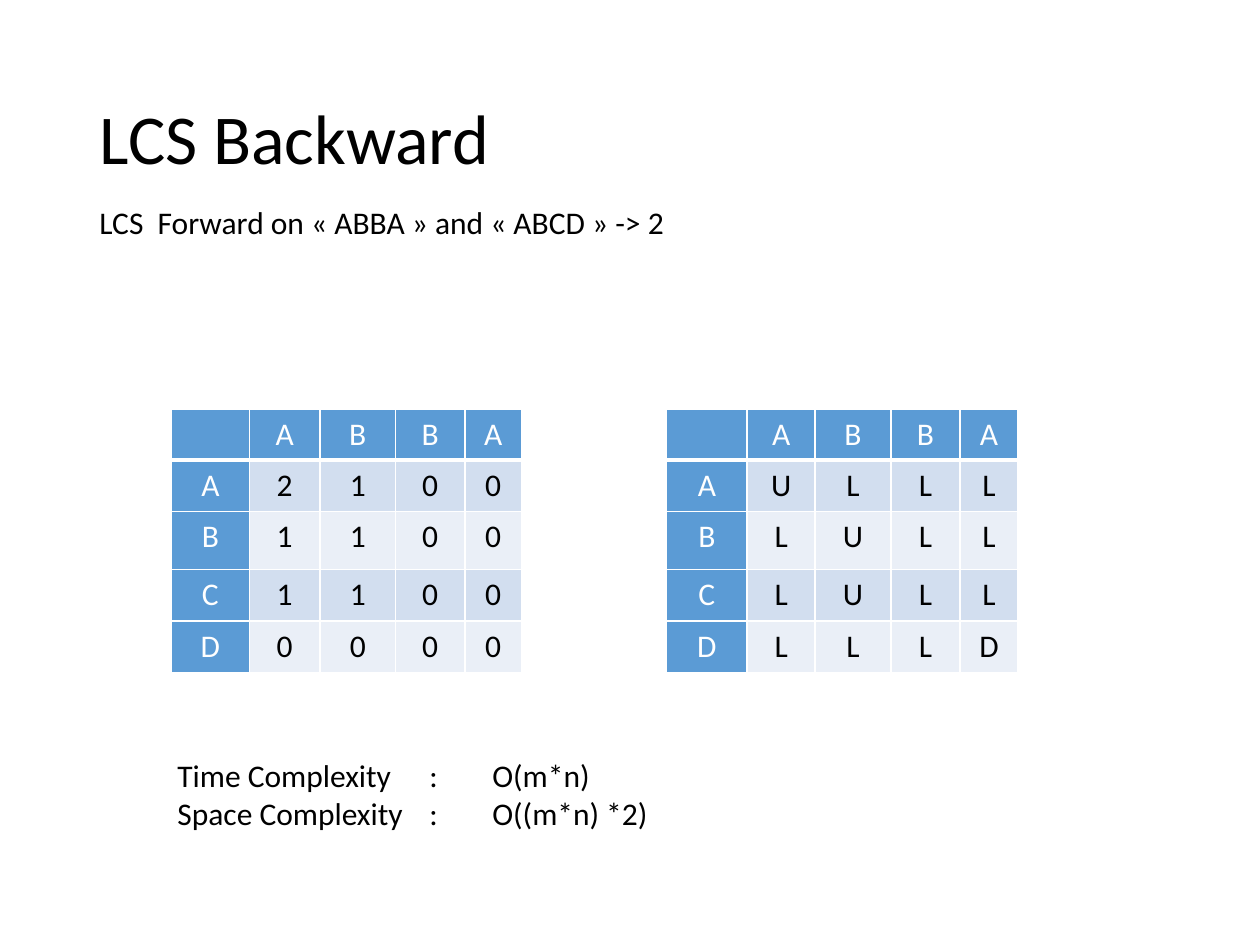
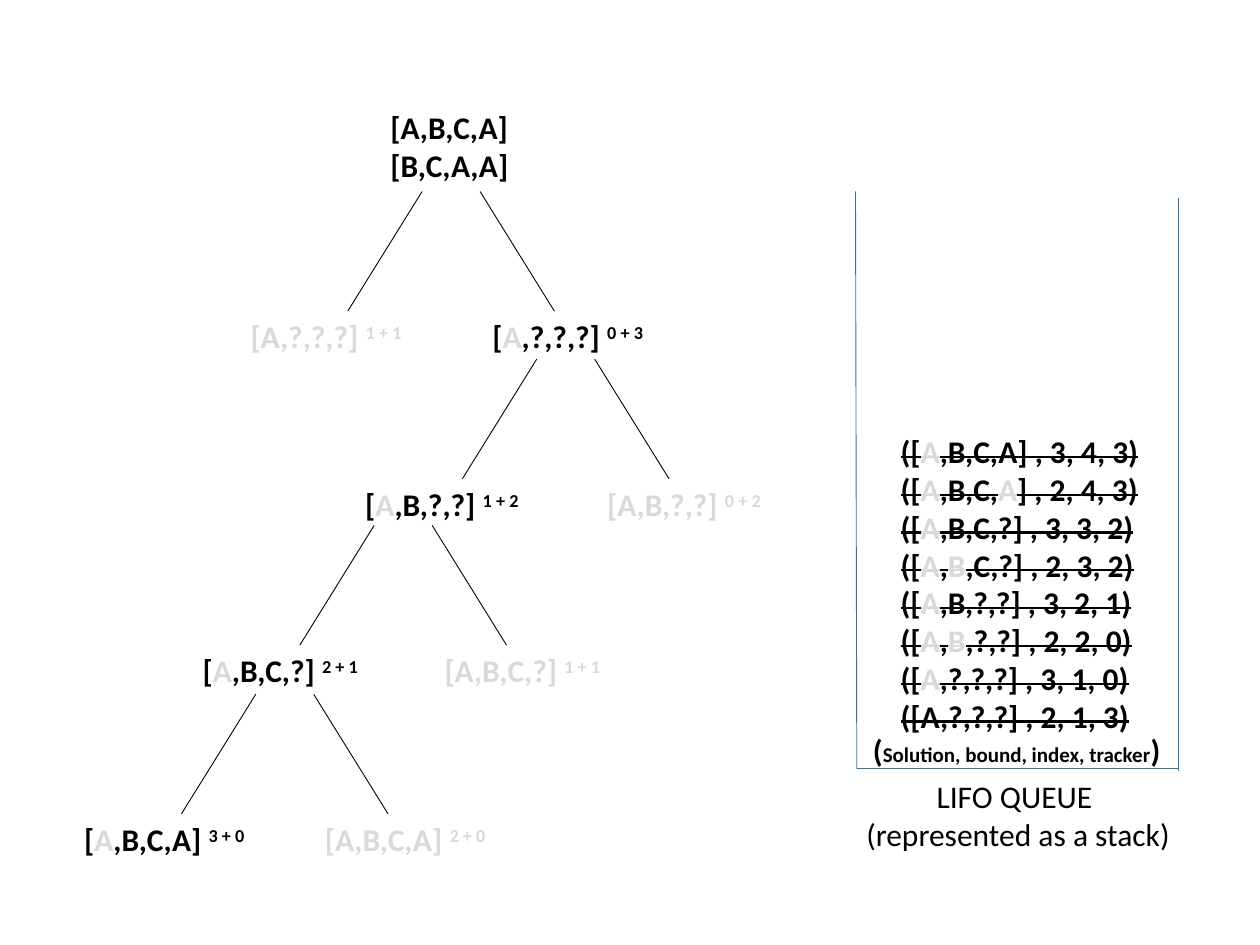
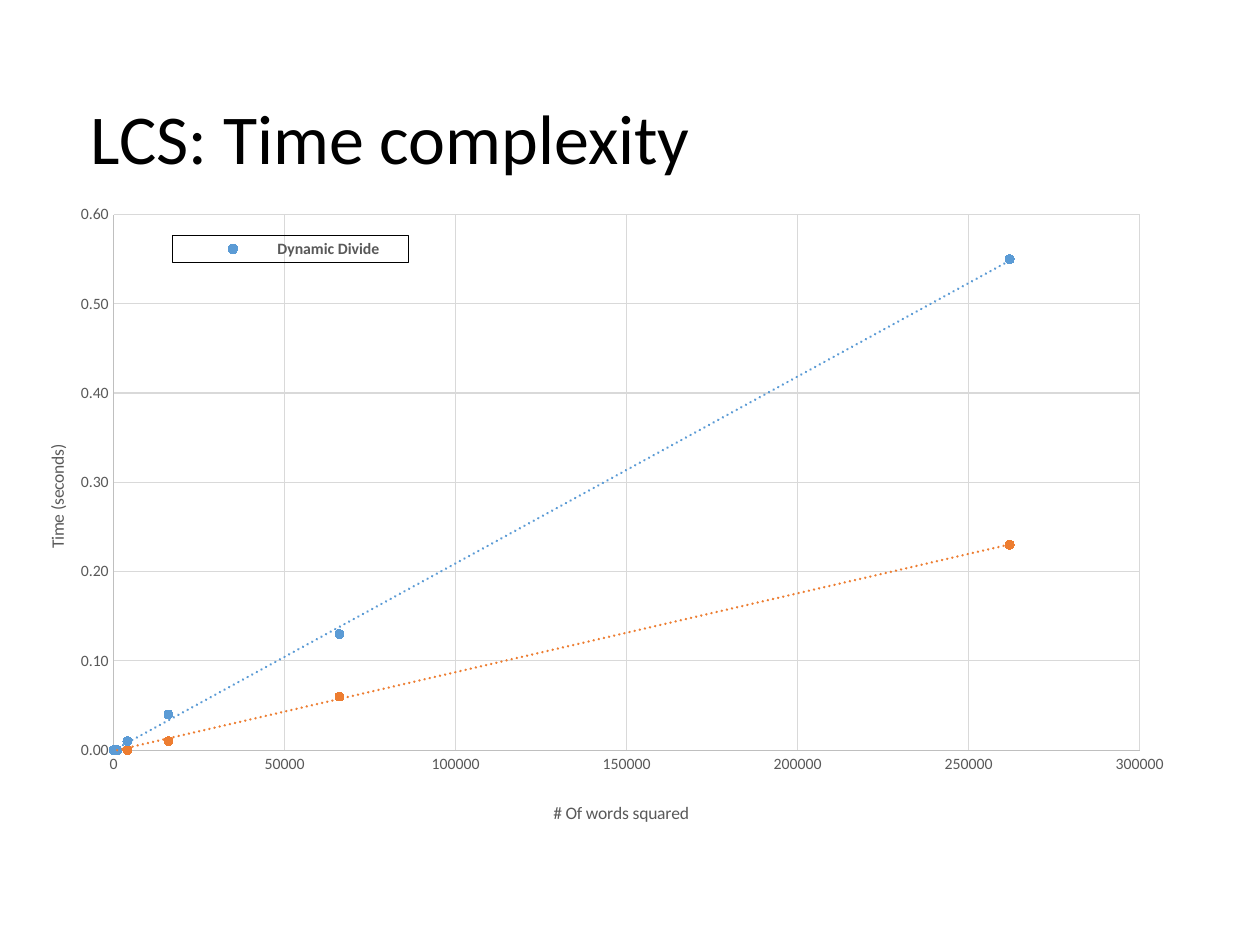
from lxml import etree
from pptx import Presentation
from pptx.chart.data import XyChartData
from pptx.dml.color import RGBColor
from pptx.enum.chart import XL_CHART_TYPE, XL_LEGEND_POSITION, XL_MARKER_STYLE, XL_TICK_MARK
from pptx.enum.shapes import MSO_CONNECTOR
from pptx.enum.text import MSO_ANCHOR, PP_ALIGN
from pptx.oxml import parse_xml
from pptx.oxml.ns import nsdecls, qn
from pptx.util import Inches, Pt

SCATTER = XL_CHART_TYPE.XY_SCATTER
LEGEND_BOTTOM = XL_LEGEND_POSITION.BOTTOM
CIRCLE = XL_MARKER_STYLE.CIRCLE
NO_TICK = XL_TICK_MARK.NONE
STRAIGHT = MSO_CONNECTOR.STRAIGHT
TOP, MIDDLE, BOTTOM = MSO_ANCHOR.TOP, MSO_ANCHOR.MIDDLE, MSO_ANCHOR.BOTTOM
LEFT, CENTER = PP_ALIGN.LEFT, PP_ALIGN.CENTER

FONT = "Calibri"
BLACK, WHITE, FADED = "000000", "FFFFFF", "D9D9D9"
BLUE, ORANGE, QUEUE_BLUE = "5B9BD5", "ED7D31", "2E75B6"
BANDS = ("D2DEEF", "EAEFF7")
AXIS_TEXT, AXIS_LINE = "595959", "BFBFBF"
TITLE_ONLY, BLANK = 5, 6


def rgb(value):
    return RGBColor.from_string(value)


def format_font(font, color=BLACK, **values):
    font.color.rgb = rgb(color)
    for name, value in {"name": FONT, "size": Pt(18), "bold": False, **values}.items():
        setattr(font, name, value)


def format_line(line, color, width):
    line.color.rgb = rgb(color)
    line.width = Pt(width)


def set_layout(element, inner=False, **fractions):
    """Place a chart part by fractions of the chart's width and height."""
    for old in element.findall(qn("c:layout")):
        element.remove(old)
    layout = parse_xml(f"<c:layout {nsdecls('c')}><c:manualLayout/></c:layout>")
    settings = {"layoutTarget": "inner"} if inner else {}
    settings.update(xMode="edge", yMode="edge", **fractions)
    for tag, value in settings.items():
        etree.SubElement(layout[0], qn(f"c:{tag}")).set("val", str(value))
    overlay = element.find(qn("c:overlay"))
    if overlay is None:
        element.insert(0, layout)
    else:
        overlay.addprevious(layout)


def add_cell_borders(cell, bottom_width):
    properties = cell._tc.get_or_add_tcPr()
    for position, side in enumerate(("lnL", "lnR", "lnT", "lnB")):
        width = Pt(bottom_width if side == "lnB" else 1)
        properties.insert(position, parse_xml(
            f'<a:{side} {nsdecls("a")} w="{width}"><a:solidFill>'
            f'<a:srgbClr val="{WHITE}"/></a:solidFill></a:{side}>'))


def add_trend_line(series, color):
    series._element.find(qn("c:xVal")).addprevious(parse_xml(
        f'<c:trendline {nsdecls("c", "a")}><c:spPr><a:ln w="{Pt(1.5)}" cap="rnd">'
        f'<a:solidFill><a:srgbClr val="{color}"/></a:solidFill>'
        '<a:prstDash val="sysDot"/></a:ln></c:spPr><c:trendlineType val="linear"/>'
        '<c:dispRSqr val="0"/><c:dispEq val="0"/></c:trendline>'))


class Deck:
    def __init__(self):
        self.presentation = Presentation()
        self.presentation.slide_width = Inches(10)
        self.presentation.slide_height = Inches(7.5)
        self.page = None

    def new_page(self, layout):
        layouts = self.presentation.slide_layouts
        self.page = self.presentation.slides.add_slide(layouts[layout])

    def title(self, text, left):
        title = self.page.shapes.title
        place = {"left": left, "top": 0.4, "width": 8.62, "height": 1.45}
        for name, value in place.items():
            setattr(title, name, Inches(value))
        title.text_frame.vertical_anchor = MIDDLE
        para = title.text_frame.paragraphs[0]
        para.alignment, para.line_spacing = LEFT, 0.9
        span = para.add_run()
        span.text = text
        format_font(span.font, size=Pt(40))

    def text(self, lines, left, top, width, height=0.71, wrap=False,
             anchor=TOP, align=LEFT, bold=False, strike=False):
        """Write the lines; pieces between bars are faded. Return the last paragraph."""
        box = self.page.shapes.add_textbox(*map(Inches, (left, top, width, height)))
        frame = box.text_frame
        frame.word_wrap, frame.vertical_anchor = wrap, anchor
        for index, line in enumerate(lines):
            para = frame.add_paragraph() if index else frame.paragraphs[0]
            para.alignment = align
            for piece, words in enumerate(line.split("|")):
                if words:
                    color = FADED if piece % 2 else BLACK
                    span = self.span(para, words, color=color, bold=bold)
                    if strike:
                        span._r.get_or_add_rPr().set("strike", "sngStrike")
        return para

    def span(self, para, text, **values):
        span = para.add_run()
        span.text = text
        format_font(span.font, **values)
        return span

    def node(self, solution, bound, left, top, width, color=BLACK):
        para = self.text([solution], left, top, width, bold=True)
        span = self.span(para, bound, color=color, bold=True)
        span._r.get_or_add_rPr().set("baseline", "30000")

    def line(self, start, end, color=BLACK):
        line = self.page.shapes.add_connector(STRAIGHT, *map(Inches, (*start, *end)))
        format_line(line.line, color, 0.5)
        etree.SubElement(line._element.spPr, qn("a:effectLst"))

    def fork(self, left, top):
        """Draw the two branches under a tree node."""
        gap, run, drop = 0.46, 0.59, 0.95
        for start, step in ((left, -run), (left + gap, run)):
            self.line((start, top), (start + step, top + drop))

    def table(self, rows, left, widths):
        heights = (0.4, 0.41, 0.46, 0.41, 0.41)
        place = (left, 3.25, sum(widths), sum(heights))
        table = self.page.shapes.add_table(
            len(rows), len(widths), *map(Inches, place)).table
        for column, width in zip(table.columns, widths):
            column.width = Inches(width)
        for row, height in zip(table.rows, heights):
            row.height = Inches(height)
        for r, row in enumerate(rows):
            for c, value in enumerate(row):
                is_header = r == 0 or c == 0
                cell = table.cell(r, c)
                cell.fill.solid()
                cell.fill.fore_color.rgb = rgb(BLUE if is_header else BANDS[(r - 1) % 2])
                add_cell_borders(cell, 1 if r else 3)
                para = cell.text_frame.paragraphs[0]
                para.alignment = CENTER
                if value:
                    self.span(para, value, color=WHITE if is_header else BLACK)

    def scatter(self, x_values, series_values, place):
        data = XyChartData()
        for name, (_, values) in series_values.items():
            series = data.add_series(name)
            for x, y in zip(x_values, values):
                series.add_data_point(x, y)
        chart = self.page.shapes.add_chart(SCATTER, *map(Inches, place), data).chart
        chart.has_title = False
        format_font(chart.font, size=Pt(10))
        plot = chart.plots[0]
        plot.vary_by_categories = False
        for series, (color, _) in zip(plot.series, series_values.values()):
            series.format.line.fill.background()
            series.marker.style, series.marker.size = CIRCLE, 5
            series.marker.format.fill.solid()
            series.marker.format.fill.fore_color.rgb = rgb(color)
            format_line(series.marker.format.line, color, 0.75)
            add_trend_line(series, color)
        set_layout(chart._chartSpace.chart.plotArea, inner=True,
                   x=0.09, y=0.03, w=0.87, h=0.78)
        return chart

    def axis(self, axis, title, maximum, step, number_format, x, y):
        values = {"minimum_scale": 0, "maximum_scale": maximum, "major_unit": step,
                  "major_tick_mark": NO_TICK, "minor_tick_mark": NO_TICK,
                  "has_major_gridlines": True}
        for name, value in values.items():
            setattr(axis, name, value)
        format_line(axis.format.line, AXIS_LINE, 0.75)
        format_line(axis.major_gridlines.format.line, FADED, 0.75)
        labels = axis.tick_labels
        labels.number_format, labels.number_format_is_linked = number_format, False
        format_font(labels.font, color=AXIS_TEXT, size=Pt(9))
        para = axis.axis_title.text_frame.paragraphs[0]
        self.span(para, title, color=AXIS_TEXT, size=Pt(10))
        set_layout(axis.axis_title._element, x=x, y=y)

    def legend(self, chart, hidden_entries):
        chart.has_legend = True
        legend = chart.legend
        legend.position = LEGEND_BOTTOM
        legend.include_in_layout = False
        format_font(legend.font, color=AXIS_TEXT, size=Pt(9), bold=True)
        element = legend._element
        set_layout(element, x=0.14, y=0.06, w=0.2, h=0.04)
        for index in hidden_entries:
            element.find(qn("c:layout")).addprevious(parse_xml(
                f'<c:legendEntry {nsdecls("c")}><c:idx val="{index}"/>'
                '<c:delete val="1"/></c:legendEntry>'))
        element.find(qn("c:overlay")).addnext(parse_xml(
            f'<c:spPr {nsdecls("c", "a")}><a:ln w="{Pt(0.75)}"><a:solidFill>'
            f'<a:srgbClr val="{BLACK}"/></a:solidFill></a:ln></c:spPr>'))


def build_backward(deck):
    deck.new_page(TITLE_ONLY)
    deck.title("LCS Backward", 0.69)
    deck.text(["LCS  Forward on « ABBA » and « ABCD » -> 2"],
              0.69, 1.56, 5.38, 0.4, wrap=True)
    tables = (
        (1.36, (0.62, 0.56, 0.6, 0.55, 0.45), ("2100", "1100", "1100", "0000")),
        (5.29, (0.64, 0.54, 0.6, 0.55, 0.46), ("ULLL", "LULL", "LULL", "LLLD")),
    )
    for left, widths, results in tables:
        rows = [["", *"ABBA"]]
        rows += [[letter, *result] for letter, result in zip("ABCD", results)]
        deck.table(rows, left, widths)
    deck.text(["Time Complexity \t:\tO(m*n)", "Space Complexity \t: \tO((m*n) *2)"],
              1.31, 5.95, 8, wrap=True)


def build_search_tree(deck):
    deck.new_page(BLANK)
    deck.text(["[A,B,C,A]", "[B,C,A,A]"], 3, 0.81, 1.14, bold=True)
    forks = ((3.35, 1.52), (4.26, 2.85), (2.97, 4.17), (2.03, 5.51))
    for left, top in forks:
        deck.fork(left, top)
    kept_nodes = (
        ("[|A|,?,?,?] ", "0 + 3", 3.81, 2.47, 1.5),
        ("[|A|,B,?,?] ", "1 + 2", 2.8, 3.8, 1.52),
        ("[|A|,B,C,?] ", "2 + 1", 1.51, 5.12, 1.54),
        ("[|A|,B,C,A] ", "3 + 0", 0.57, 6.46, 1.54),
    )
    faded_nodes = (
        ("|[A,?,?,?] ", "1 + 1", 1.89, 2.47, 1.46),
        ("|[A,B,?,?] ", "0 + 2", 4.72, 3.8, 1.52),
        ("|[A,B,C,?] ", "1 + 1", 3.43, 5.12, 1.54),
        ("|[A,B,C,A] ", "2 + 0", 2.48, 6.46, 1.54),
    )
    for color, nodes in ((BLACK, kept_nodes), (FADED, faded_nodes)):
        for node in nodes:
            deck.node(*node, color=color)

    queue_walls = (((6.79, 1.52), (6.8, 6.1)), ((9.35, 1.57), (9.35, 6.12)),
                   ((6.8, 6.1), (9.35, 6.1)))
    for start, end in queue_walls:
        deck.line(start, end, QUEUE_BLUE)
    deck.text(["LIFO QUEUE ", "(represented as a stack)"], 6.76, 6.12, 2.64, align=CENTER)
    legend = deck.text(["("], 6.83, 5.75, 2.52, bold=True)
    deck.span(legend, "Solution, bound, index, tracker", size=Pt(12), bold=True)
    deck.span(legend, ")", bold=True)
    visited = (
        "([|A|,B,C,A] , 3, 4, 3)",
        "([|A|,B,C,|A|] , 2, 4, 3)",
        "([|A|,B,C,?] , 3, 3, 2)",
        "([|A|,|B|,C,?] , 2, 3, 2)",
        "([|A|,B,?,?] , 3, 2, 1)",
        "([|A|,|B|,?,?] , 2, 2, 0)",
        "([|A|,?,?,?] , 3, 1, 0)",
        "([A,?,?,?] , 2, 1, 3)",
    )
    deck.text(visited, 7.05, 1.54, 2.11, 4.34, anchor=BOTTOM, bold=True, strike=True)


def build_time_complexity(deck):
    deck.new_page(TITLE_ONLY)
    deck.title("LCS: Time complexity", 0.62)
    words_squared = (0, 0, 0, 0, 1000, 4000, 16000, 66000, 262000)
    seconds = {
        "Dynamic Divide": (BLUE, (0, 0, 0, 0, 0, 0.01, 0.04, 0.13, 0.55)),
        "Dynamic": (ORANGE, (0, 0, 0, 0, 0, 0, 0.01, 0.06, 0.23)),
    }
    chart = deck.scatter(words_squared, seconds, (0.06, 1.54, 9.36, 5.45))
    deck.axis(chart.category_axis, "# Of words squared", 300000, 50000, "General", 0.46, 0.88)
    deck.axis(chart.value_axis, "Time (seconds)", 0.6, 0.1, "#,##0.00", 0.03, 0.36)
    deck.legend(chart, hidden_entries=(2, 3))


def main():
    deck = Deck()
    build_backward(deck)
    build_search_tree(deck)
    build_time_complexity(deck)
    deck.presentation.save("out.pptx")


if __name__ == "__main__":
    main()
